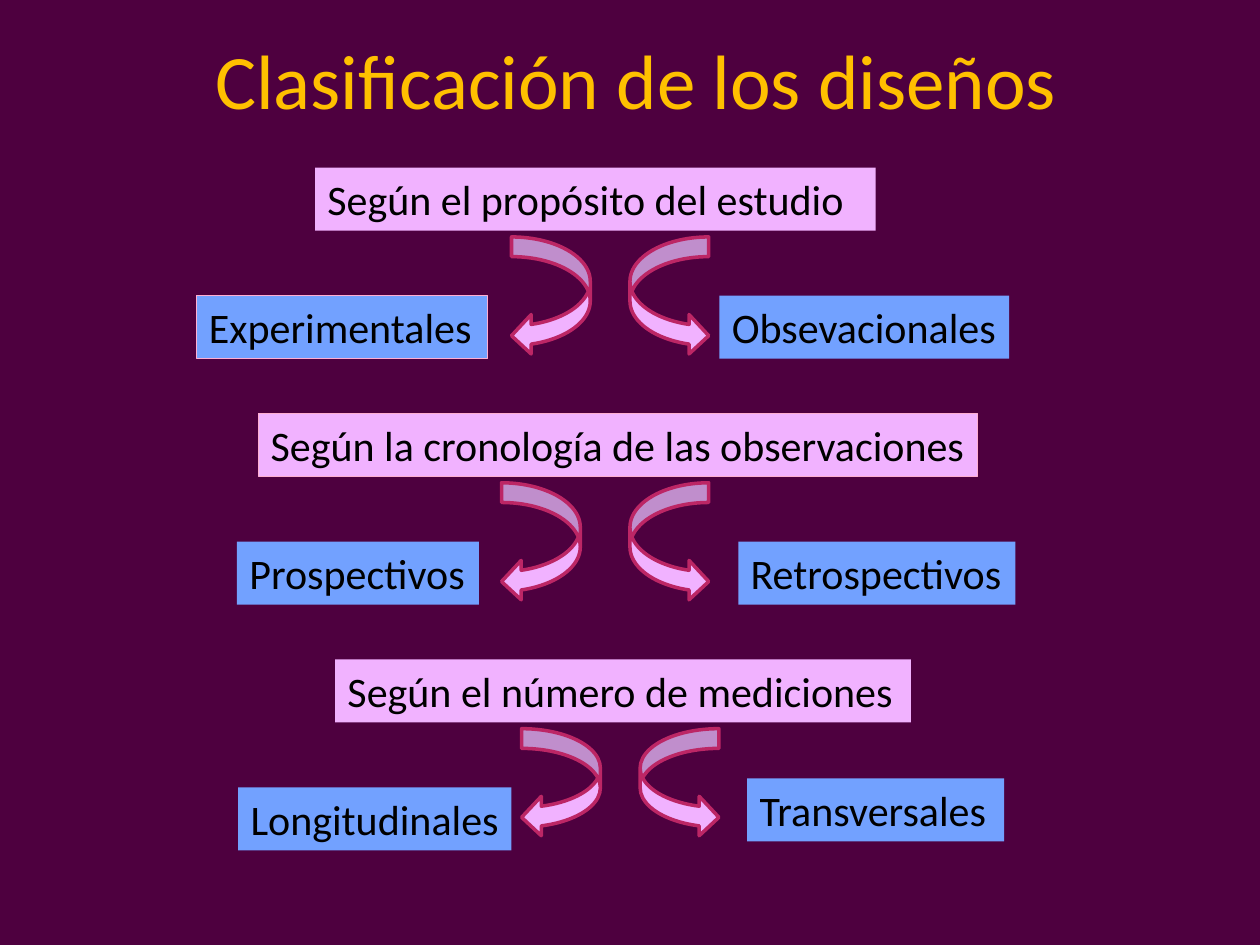
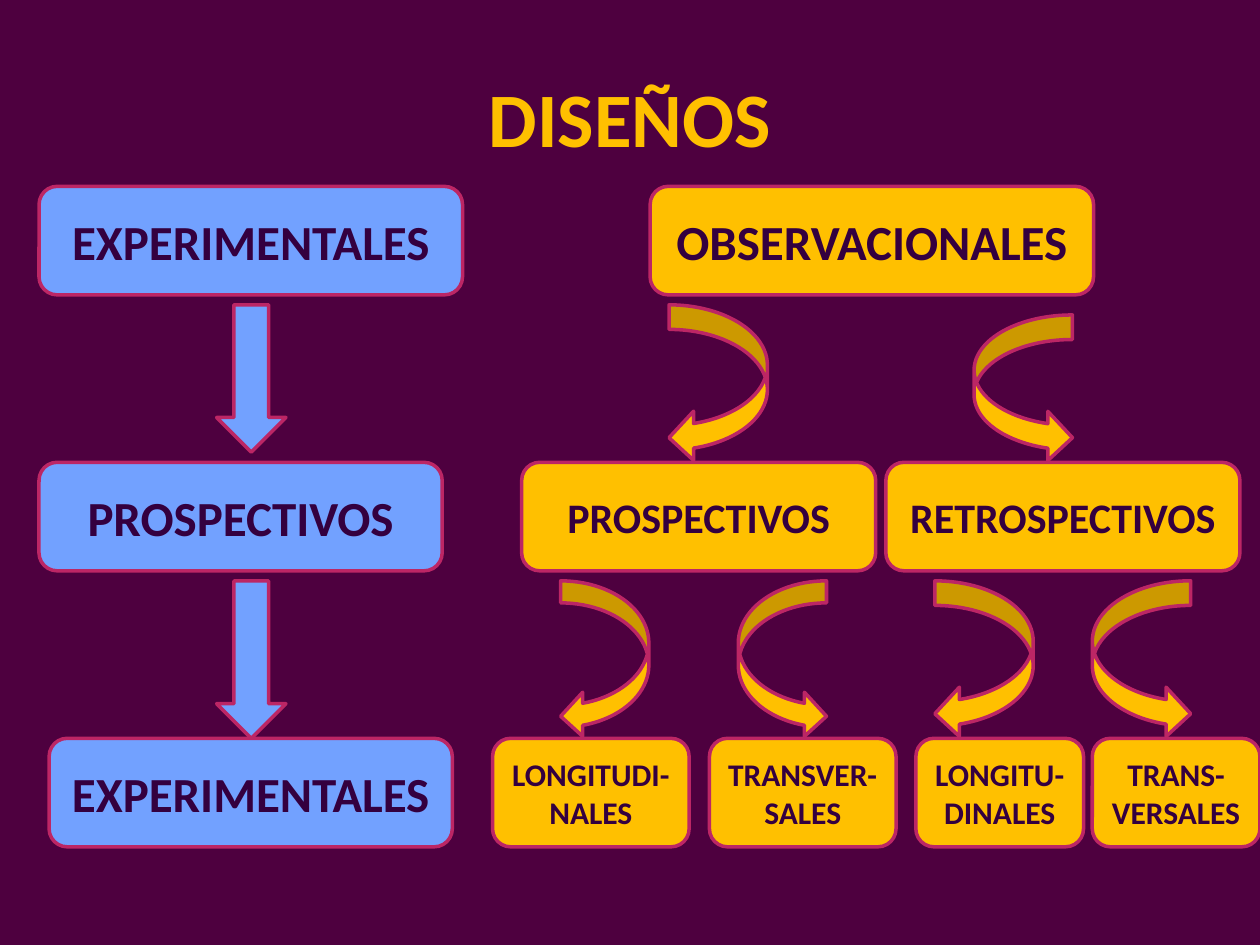
"""Build two slides that classify research designs."""
import pptx
import pptx.dml.color
import pptx.enum.shapes
import pptx.enum.text
import pptx.util

Pt = pptx.util.Pt
RGBColor = pptx.dml.color.RGBColor
Shape = pptx.enum.shapes.MSO_SHAPE
Align = pptx.enum.text.PP_ALIGN
Anchor = pptx.enum.text.MSO_ANCHOR

PLUM = RGBColor(0x4E, 0x00, 0x3F)
GOLD = RGBColor(0xFF, 0xC0, 0x00)
BLUE = RGBColor(0x72, 0xA1, 0xFF)
PINK = RGBColor(0xF1, 0xB2, 0xFF)
ROSE = RGBColor(0xFF, 0xAF, 0xD1)
CRIMSON = RGBColor(0xBC, 0x26, 0x65)
INK = RGBColor(0x34, 0x00, 0x3F)
BLACK = RGBColor(0x00, 0x00, 0x00)


class Deck:
    """Hold the shared style and the current slide."""

    def __init__(self):
        self.prs = pptx.Presentation()
        self.prs.slide_width, self.prs.slide_height = Pt(720), Pt(540)
        background = self.prs.slide_master.background.fill
        background.solid()
        background.fore_color.rgb = PLUM
        self.slide = None

    def set_text(self, frame, text, size, color, bold=False, align=Align.CENTER):
        frame.text = text
        frame.word_wrap = True
        for paragraph in frame.paragraphs:
            paragraph.alignment = align
            for run in paragraph.runs:
                run.font.name = "Calibri"
                run.font.size = Pt(size)
                run.font.bold = bold
                run.font.color.rgb = color

    def new_slide(self, title, left, top, bold=False):
        self.slide = self.prs.slides.add_slide(self.prs.slide_layouts[5])
        heading = self.slide.shapes.title
        heading.left, heading.top = Pt(left), Pt(top)
        heading.width, heading.height = Pt(648), Pt(90)
        heading.text_frame.vertical_anchor = Anchor.MIDDLE
        self.set_text(heading.text_frame, title, 44, GOLD, bold)

    def figure(self, kind, left, top, width, height, fill, border=CRIMSON, weight=2):
        shape = self.slide.shapes.add_shape(kind, Pt(left), Pt(top), Pt(width), Pt(height))
        shape.shadow.inherit = False
        shape.fill.solid()
        shape.fill.fore_color.rgb = fill
        if border is None:
            shape.line.fill.background()
        else:
            shape.line.color.rgb = border
            shape.line.width = Pt(weight)
        return shape

    def label(self, text, left, top, width, fill, border=None):
        frame = self.figure(Shape.RECTANGLE, left, top, width, 36, fill, border, 0.75).text_frame
        frame.vertical_anchor = Anchor.TOP
        frame.margin_right = Pt(0)
        self.set_text(frame, text, 24, BLACK, align=Align.LEFT)

    def node(self, text, left, top, width, fill, size=28):
        box = self.figure(Shape.ROUNDED_RECTANGLE, left, top, width, 62, fill)
        box.text_frame.vertical_anchor = Anchor.MIDDLE
        self.set_text(box.text_frame, text, size, INK, bold=True)

    def arrow_pair(self, left, right, top, width, height, fill, right_drop=0):
        self.figure(Shape.CURVED_LEFT_ARROW, left, top, width, height, fill)
        self.figure(Shape.CURVED_RIGHT_ARROW, right, top + right_drop,
                    width, height - right_drop, fill)


def classification(deck):
    deck.new_slide("Clasificación de los diseños", 39.6, 0)
    criteria = [
        (("Según el propósito del estudio", 180, 320.4, None),
         ("Experimentales", 112.3, 166.3, ROSE),
         ("Obsevacionales", 411.1, 165.6, 73.2), (292.3, 360, 67.7)),
        (("Según la cronología de las observaciones", 147.6, 411.1, ROSE),
         ("Prospectivos", 135.4, 138.2, None),
         ("Retrospectivos", 421.9, 158.4, 73.2), (286.6, 360, 67.7)),
        (("Según el número de mediciones", 191.5, 329, None),
         ("Longitudinales", 136.1, 156.2, None),
         ("Transversales", 427, 146.9, 68), (298.1, 365.8, 61.9)),
    ]
    for row, (criterion, first, second, arrows) in enumerate(criteria):
        top = 95.8 + 140.5 * row
        text, left, width, border = criterion
        deck.label(text, left, top, width, PINK, border)
        arrow_left, arrow_right, height = arrows
        deck.arrow_pair(arrow_left, arrow_right, top + 39.6, 45, height, PINK)
        text, left, width, border = first
        deck.label(text, left, top + 73.2, width, BLUE, border)
        text, left, width, drop = second
        deck.label(text, left, top + drop, width, BLUE)


def design_tree(deck):
    deck.new_slide("DISEÑOS", 36, 21.6, bold=True)
    levels = [106.5 + 157.7 * level for level in range(3)]
    experimental = [("EXPERIMENTALES", 22.3, 242), ("PROSPECTIVOS", 22.3, 230.4),
                    ("EXPERIMENTALES", 28.1, 230.4)]
    observational = [
        (28, [("OBSERVACIONALES", 371.5, 253.4)]),
        (24, [("PROSPECTIVOS", 298.1, 202.3), ("RETROSPECTIVOS", 506.2, 202.3)]),
        (18, [("LONGITUDI-NALES", 281.5, 112.3), ("TRANSVER-\nSALES", 405.4, 106.6),
              ("LONGITU-DINALES", 523.4, 95.8), ("TRANS-\nVERSALES", 624.2, 95.8)]),
    ]
    for top, (text, left, width), (size, designs) in zip(levels, experimental, observational):
        deck.node(text, left, top, width, BLUE)
        for design, design_left, design_width in designs:
            deck.node(design, design_left, top, design_width, GOLD, size)
    for top, height in zip(levels, (84.2, 90)):
        deck.figure(Shape.DOWN_ARROW, 123.8, top + 67.7, 39.6, height, BLUE)
    branches = [(0, 382.3, 556.6, 56.2, 5.8), (1, 320.4, 421.9, 50.4, 0),
                (1, 534.2, 624.2, 56.2, 0)]
    for level, left, right, width, right_drop in branches:
        deck.arrow_pair(left, right, levels[level] + 67.7, width, 90, GOLD, right_drop)


def main():
    deck = Deck()
    classification(deck)
    design_tree(deck)
    deck.prs.save("out.pptx")


if __name__ == "__main__":
    main()
